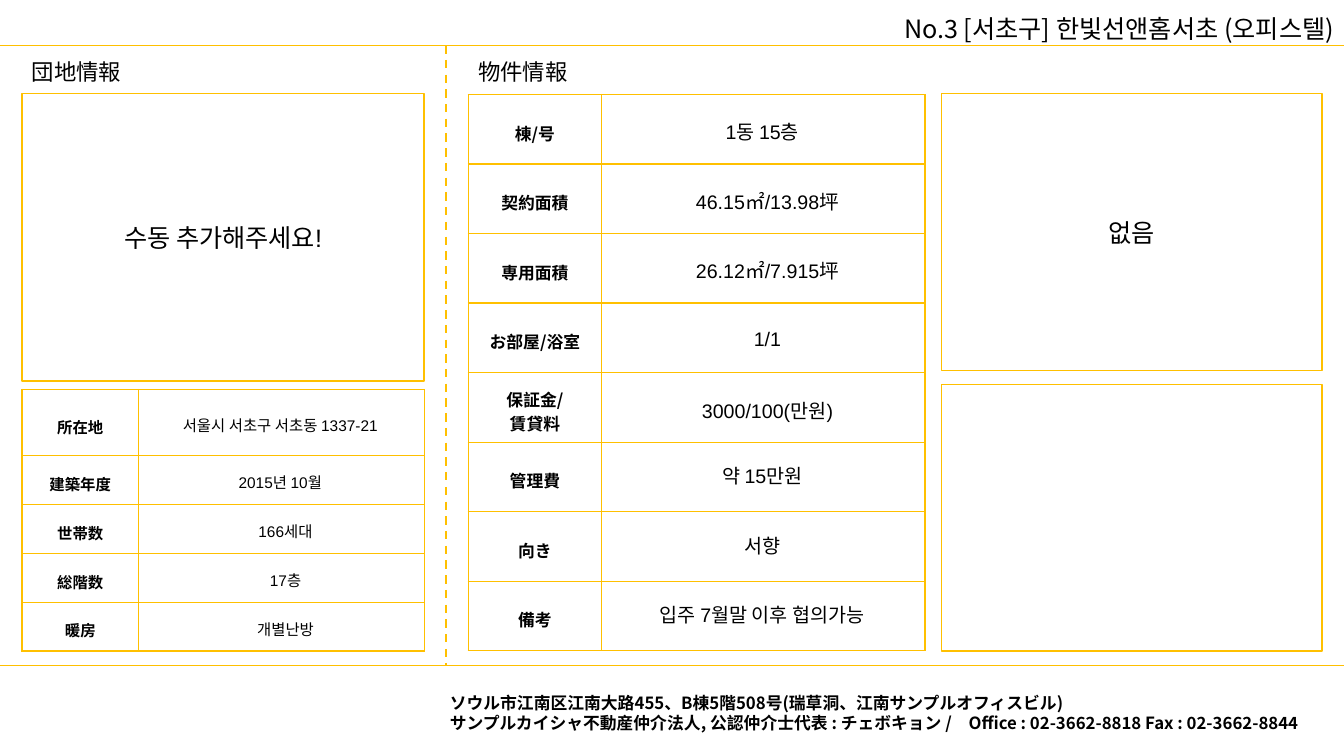
from collections import namedtuple
from dataclasses import dataclass

from pptx import Presentation
from pptx.dml.color import RGBColor
from pptx.enum.dml import MSO_LINE
from pptx.enum.shapes import MSO_CONNECTOR, MSO_SHAPE
from pptx.enum.text import MSO_ANCHOR, MSO_AUTO_SIZE, PP_ALIGN
from pptx.oxml.ns import qn
from pptx.util import Pt
from lxml.etree import SubElement

EMU_PER_PX = 9525
Box = namedtuple("Box", "left top width height")
Style = namedtuple("Style", "size latin east_asian bold")

JAPANESE = "Noto Sans CJK JP"
KOREAN = "Noto Sans CJK KR"


@dataclass(frozen=True)
class Theme:
    ink: RGBColor = RGBColor(0, 0, 0)
    paper: RGBColor = RGBColor(255, 255, 255)
    gold: RGBColor = RGBColor(0xFF, 0xC0, 0x00)
    title: Style = Style(18, KOREAN, KOREAN, False)
    heading: Style = Style(16, JAPANESE, JAPANESE, False)
    photo_note: Style = Style(18, "Arial", KOREAN, False)
    footer: Style = Style(12, JAPANESE, JAPANESE, True)
    complex_label: Style = Style(11, JAPANESE, JAPANESE, True)
    complex_value: Style = Style(11, "Arial", KOREAN, False)
    unit_label: Style = Style(12, JAPANESE, JAPANESE, True)
    unit_value: Style = Style(14, "Arial", KOREAN, False)


THEME = Theme()

# Cell margins: left, top, right, bottom
LABEL_MARGINS = (10, 12, 10, 5)
EVEN = (10, 12, 12, 8)
SHIFTED = (8, 12, 0, 8)
RAISED = (10, 5, 12, 8)

COMPLEX_ROWS = [
    ("所在地", "서울시 서초구 서초동 1337-21", EVEN),
    ("建築年度", "2015년 10월", EVEN),
    ("世帯数", "166세대", SHIFTED),
    ("総階数", "17층", SHIFTED),
    ("暖房", "개별난방", SHIFTED),
]
UNIT_ROWS = [
    ("棟/号", "1동 15층", EVEN),
    ("契約面積", "46.15㎡/13.98坪", SHIFTED),
    ("専用面積", "26.12㎡/7.915坪", SHIFTED),
    ("お部屋/浴室", "1/1", SHIFTED),
    ("保証金/\n賃貸料", "3000/100(만원)", SHIFTED),
    ("管理費", "약 15만원", RAISED),
    ("向き", "서향", RAISED),
    ("備考", "입주 7월말 이후 협의가능", RAISED),
]


def px(length):
    return round(length * EMU_PER_PX)


def emu(box):
    return [px(length) for length in box]


def write(frame, text, style, align=PP_ALIGN.LEFT):
    frame.word_wrap = True
    frame.text = text
    for paragraph in frame.paragraphs:
        paragraph.alignment = align
        font = paragraph.font
        font.size = Pt(style.size)
        font.bold = style.bold
        font.color.rgb = THEME.ink
        font.name = style.latin
        defaults = paragraph._p.pPr.find(qn("a:defRPr"))
        SubElement(defaults, qn("a:ea")).set("typeface", style.east_asian)


def add_text(slide, box, text, style):
    write(slide.shapes.add_textbox(*emu(box)).text_frame, text, style)


def add_rule(slide, start, end, width, dash=None):
    rule = slide.shapes.add_connector(
        MSO_CONNECTOR.STRAIGHT, *emu(start), *emu(end))
    rule.line.color.rgb = THEME.gold
    rule.line.width = Pt(width)
    if dash:
        rule.line.dash_style = dash
    SubElement(rule._element.spPr, qn("a:effectLst"))


def add_photo_frame(slide, box, note="", style=THEME.photo_note):
    shape = slide.shapes.add_shape(MSO_SHAPE.RECTANGLE, *emu(box))
    shape.shadow.inherit = False
    shape.fill.solid()
    shape.fill.fore_color.rgb = THEME.paper
    shape.line.color.rgb = THEME.gold
    shape.line.width = Pt(1)
    if note:
        shape.text_frame.vertical_anchor = MSO_ANCHOR.MIDDLE
        write(shape.text_frame, note, style, PP_ALIGN.CENTER)


def add_cell_borders(cell):
    properties = cell._tc.get_or_add_tcPr()
    for position, side in enumerate(("lnL", "lnR", "lnT", "lnB")):
        border = properties.makeelement(qn(f"a:{side}"), {"w": str(Pt(1))})
        fill = SubElement(border, qn("a:solidFill"))
        SubElement(fill, qn("a:srgbClr")).set("val", str(THEME.gold))
        properties.insert(position, border)


def fill_cell(cell, text, style, margins):
    (cell.margin_left, cell.margin_top,
     cell.margin_right, cell.margin_bottom) = emu(margins)
    cell.vertical_anchor = MSO_ANCHOR.MIDDLE
    cell.fill.background()
    write(cell.text_frame, text, style, PP_ALIGN.CENTER)
    add_cell_borders(cell)


def add_facts(slide, box, rows, label_width, first_height, label_style, value_style):
    """Two-column table; the rows after the first share the remaining height."""
    table = slide.shapes.add_table(len(rows), 2, *emu(box)).table
    table.first_row = table.horz_banding = False
    table.columns[0].width = px(label_width)
    table.columns[1].width = px(box.width - label_width)
    other_height = (box.height - first_height) / (len(rows) - 1)
    for index, (label, value, margins) in enumerate(rows):
        table.rows[index].height = px(other_height if index else first_height)
        fill_cell(table.cell(index, 0), label, label_style, LABEL_MARGINS)
        fill_cell(table.cell(index, 1), value, value_style, margins)


def add_header(slide, box, text):
    title = slide.shapes.title
    title.left, title.top, title.width, title.height = emu(box)
    title.text_frame.auto_size = MSO_AUTO_SIZE.NONE
    write(title.text_frame, text, THEME.title, PP_ALIGN.RIGHT)


def add_complex_panel(slide, box):
    add_text(slide, Box(box.left, box.top, 201, 36), "団地情報", THEME.heading)
    add_photo_frame(slide, Box(box.left, box.top + 38, box.width, 274),
                    "수동 추가해주세요!")
    add_facts(slide, Box(box.left, box.top + 320, box.width, box.height - 320),
              COMPLEX_ROWS, 111, 63, THEME.complex_label, THEME.complex_value)


def add_unit_panel(slide, box):
    add_text(slide, Box(box.left, box.top, 201, 36), "物件情報", THEME.heading)
    facts = Box(box.left, box.top + 39, 435, box.height - 39)
    add_facts(slide, facts, UNIT_ROWS, 127, facts.height / len(UNIT_ROWS),
              THEME.unit_label, THEME.unit_value)
    photo_left, photo_width = box.left + box.width - 362, 362
    add_photo_frame(slide, Box(photo_left, box.top + 38, photo_width, 264),
                    "없음", THEME.title)
    add_photo_frame(slide, Box(photo_left, box.top + 315, photo_width, box.height - 315))


def add_footer(slide, box):
    add_text(slide, box,
             "ソウル市江南区江南大路455、B棟5階508号(瑞草洞、江南サンプルオフィスビル)\n"
             "サンプルカイシャ不動産仲介法人, 公認仲介士代表 : チェボキョン /　"
             "Office : 02-3662-8818 Fax : 02-3662-8844", THEME.footer)


def add_listing_slide(presentation):
    slide = presentation.slides.add_slide(presentation.slide_layouts[5])
    top_rule, bottom_rule, divider = 43, 634, 425
    add_header(slide, Box(4, 8, 1276, 38), "No.3 [서초구] 한빛선앤홈서초 (오피스텔)")
    for y in (top_rule, bottom_rule):
        add_rule(slide, (0, y), (1280, y), 0.5)
    add_rule(slide, (divider, top_rule), (divider, bottom_rule), 1.5, MSO_LINE.DASH)
    add_complex_panel(slide, Box(21, 51, 383, 569))
    add_unit_panel(slide, Box(446, 51, 813, 569))
    add_footer(slide, Box(419, 655, 861, 48))


def main():
    presentation = Presentation()
    presentation.slide_width, presentation.slide_height = px(1280), px(720)
    add_listing_slide(presentation)
    presentation.save("out.pptx")


if __name__ == "__main__":
    main()
